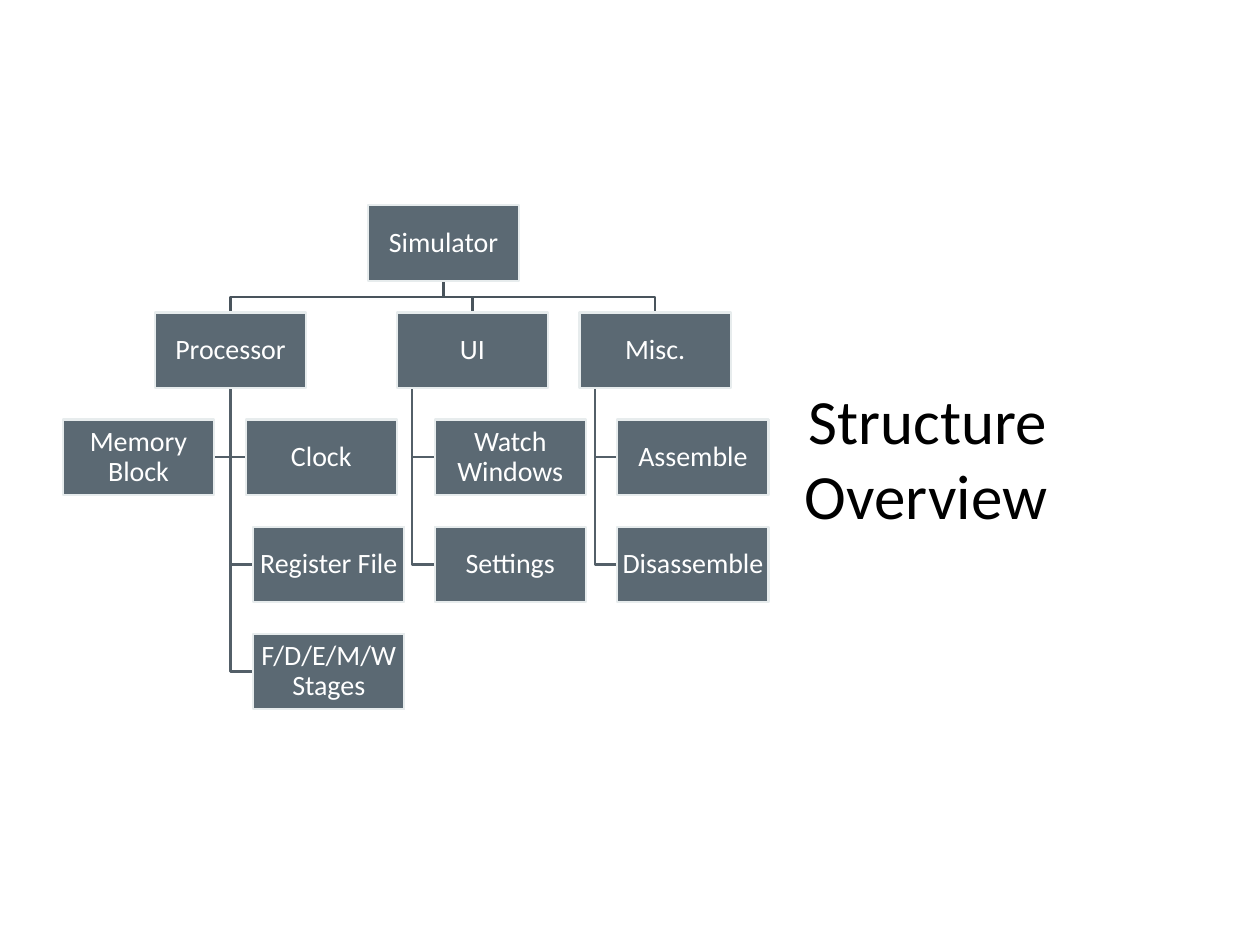
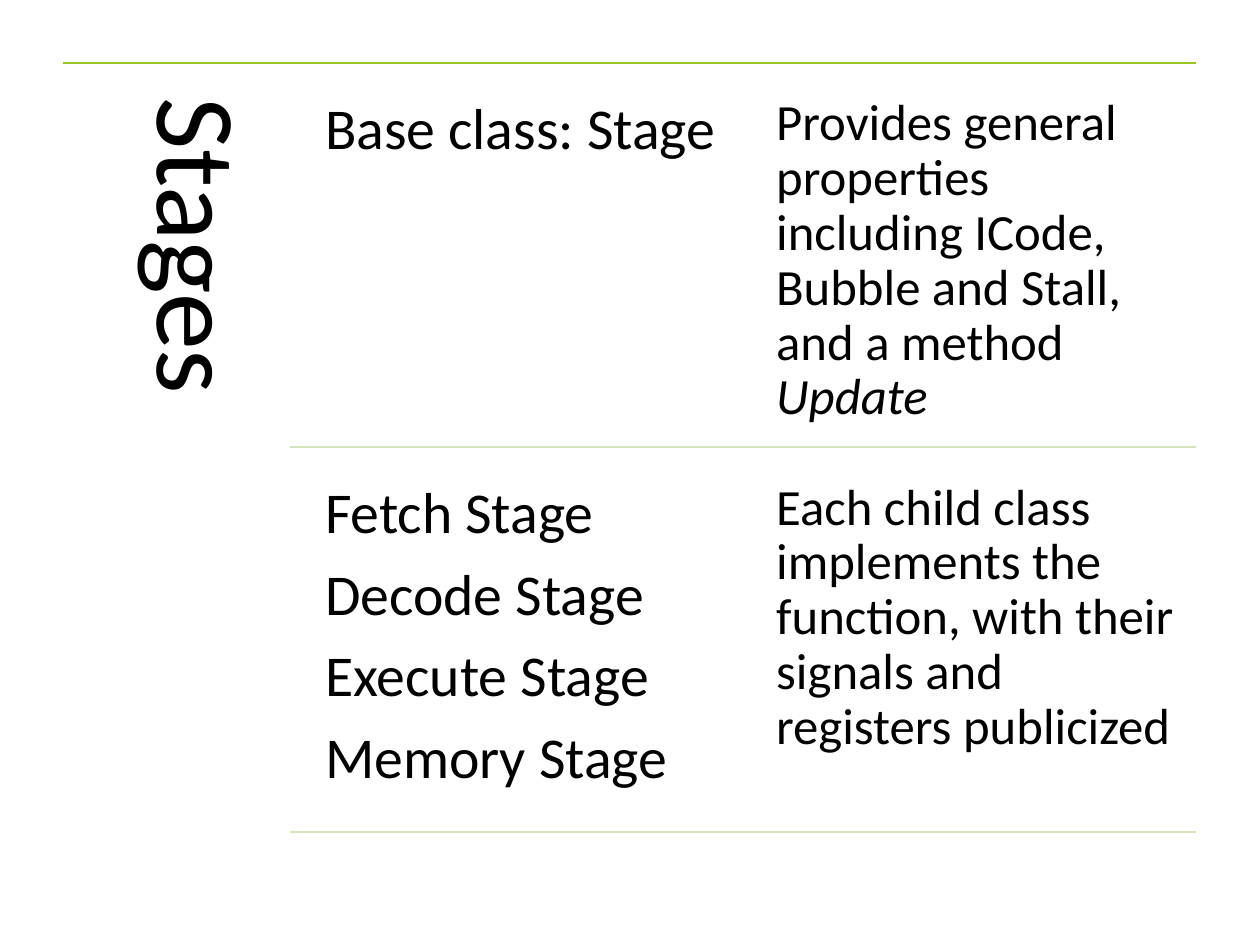
import dataclasses

import lxml.etree
import pptx
import pptx.dml.color
import pptx.enum.shapes
import pptx.enum.text
import pptx.oxml.ns
import pptx.util

Inches = pptx.util.Inches
ALIGN = pptx.enum.text.PP_ALIGN
ANCHOR = pptx.enum.text.MSO_ANCHOR


@dataclasses.dataclass(frozen=True)
class Theme:
    """Colours, font and type sizes of the deck."""
    font: str = "Calibri"
    ink: str = "000000"
    white: str = "FFFFFF"
    node: str = "5B6973"
    node_edge: str = "E7ECED"
    root_link: str = "49545C"
    leaf_link: str = "535F68"
    top_rule: str = "98C723"
    row_rule: str = "D4E5BD"
    line_width: float = 1.25
    node_size: int = 16
    title_size: int = 36
    heading_size: int = 65
    name_size: int = 33
    detail_size: int = 29


@dataclasses.dataclass(frozen=True)
class Box:
    """A region of a page, in inches."""
    left: float
    top: float
    width: float
    height: float

    def inner(self, left, top, width, height):
        """Return a box placed relative to this one."""
        return Box(self.left + left, self.top + top, width, height)

    def lengths(self):
        """Return the four measures as lengths."""
        return [Inches(value) for value in dataclasses.astuple(self)]


THEME = Theme()
NODE_WIDTH, NODE_HEIGHT, ROW_PITCH = 1.2, 0.6, 0.85
ROOT = ("Simulator", 2.42)
BRANCHES = [
    ("Processor", 0.73, 0.6, [("Memory Block", 0, 2), ("Clock", 1.45, 2),
                              ("Register File", 1.51, 3), ("F/D/E/M/W Stages", 1.51, 4)]),
    ("UI", 2.65, 0.12, [("Watch Windows", 2.95, 2), ("Settings", 2.95, 3)]),
    ("Misc.", 4.1, 0.12, [("Assemble", 4.4, 2), ("Disassemble", 4.4, 3)]),
]
STAGE_ROWS = [
    (["Base class: Stage"],
     [("Provides general properties including ICode, Bubble and Stall, and a method ", False),
      ("Update", True)]),
    (["Fetch Stage", "Decode Stage", "Execute Stage", "Memory Stage"],
     [("Each child class implements the function, with their signals and registers publicized",
       False)]),
]


def rgb(code):
    """Turn a hex code into a colour."""
    return pptx.dml.color.RGBColor.from_string(code)


def write(shape, paragraphs, size, color=THEME.ink, align=ALIGN.LEFT,
          anchor=ANCHOR.TOP, inset=0.1, spacing=0.9, after=0):
    """Fill a shape with paragraphs, each a list of (text, italic) spans."""
    frame = shape.text_frame
    frame.word_wrap = True
    frame.vertical_anchor = anchor
    frame.margin_left = frame.margin_right = Inches(inset)
    frame.margin_top = frame.margin_bottom = Inches(inset)
    for index, spans in enumerate(paragraphs):
        para = frame.add_paragraph() if index else frame.paragraphs[0]
        para.alignment = align
        para.line_spacing = spacing
        para.space_after = pptx.util.Pt(after)
        for text, italic in spans:
            span = para.add_run()
            span.text = text
            span.font.name = THEME.font
            span.font.size = pptx.util.Pt(size)
            span.font.italic = italic
            span.font.color.rgb = rgb(color)


def add_text(page, box, paragraphs, size, **style):
    """Add a text box and return it."""
    shape = page.shapes.add_textbox(*box.lengths())
    write(shape, paragraphs, size, **style)
    return shape


def set_line(shape, color):
    """Give a shape or connector the deck's line."""
    shape.line.color.rgb = rgb(color)
    shape.line.width = pptx.util.Pt(THEME.line_width)


def add_rule(page, left, right, y, color):
    """Draw a horizontal rule."""
    rule = page.shapes.add_connector(pptx.enum.shapes.MSO_CONNECTOR.STRAIGHT,
                                     Inches(left), Inches(y), Inches(right), Inches(y))
    set_line(rule, color)
    properties = rule._element.spPr
    lxml.etree.SubElement(properties, pptx.oxml.ns.qn("a:effectLst"))


def add_link(page, points, color):
    """Draw an open bent line through the points."""
    start, *rest = [(Inches(x), Inches(y)) for x, y in points]
    builder = page.shapes.build_freeform(*start, scale=1.0)
    builder.add_line_segments(rest, close=False)
    link = builder.convert_to_shape()
    link.shadow.inherit = False
    link.fill.background()
    set_line(link, color)


def add_node(page, box, label):
    """Draw one labelled box of the tree."""
    node = page.shapes.add_shape(pptx.enum.shapes.MSO_SHAPE.RECTANGLE, *box.lengths())
    node.shadow.inherit = False
    node.fill.solid()
    node.fill.fore_color.rgb = rgb(THEME.node)
    set_line(node, THEME.node_edge)
    write(node, [[(label, False)]], THEME.node_size, color=THEME.white,
          align=ALIGN.CENTER, anchor=ANCHOR.MIDDLE, inset=0.01)


def add_tree(page, area):
    """Draw the links of the tree, then its nodes."""
    def place(left, row):
        return area.inner(left, row * ROW_PITCH, NODE_WIDTH, NODE_HEIGHT)

    root = place(ROOT[1], 0)
    root_x, root_bottom = root.left + NODE_WIDTH / 2, root.top + NODE_HEIGHT
    nodes = [(root, ROOT[0])]
    for label, left, trunk, leaves in BRANCHES:
        branch = place(left, 1)
        nodes.append((branch, label))
        center, middle = branch.left + NODE_WIDTH / 2, (root_bottom + branch.top) / 2
        add_link(page, [(root_x, root_bottom), (root_x, middle),
                        (center, middle), (center, branch.top)], THEME.root_link)
        trunk_x = branch.left + trunk
        for leaf_label, leaf_left, row in leaves:
            leaf = place(leaf_left, row)
            nodes.append((leaf, leaf_label))
            edge = leaf.left if leaf.left > trunk_x else leaf.left + NODE_WIDTH
            y = leaf.top + NODE_HEIGHT / 2
            add_link(page, [(trunk_x, branch.top + NODE_HEIGHT), (trunk_x, y), (edge, y)],
                     THEME.leaf_link)
    for box, label in nodes:
        add_node(page, box, label)


def add_structure_page(page):
    """Build the tree with its title at the right."""
    add_tree(page, Box(0.5, 1.63, 5.6, 4))
    add_text(page, Box(5.33, 0.5, 3.08, 6.25), [[("Structure Overview", False)]],
             THEME.title_size, align=ALIGN.RIGHT, anchor=ANCHOR.MIDDLE, spacing=1.0)


def add_stages_page(page, area):
    """Build the sideways heading and its ruled rows."""
    side, pitch, gap, column = 1.8, 3.05, 0.14, 3.46
    right = area.left + area.width
    add_rule(page, area.left, right, area.top, THEME.top_rule)
    heading = add_text(page, area.inner(0, 0, side, area.height), [[("Stages", False)]],
                       THEME.heading_size, inset=0.27)
    heading.text_frame._txBody.bodyPr.set("vert", "eaVert")
    for index, (names, detail) in enumerate(STAGE_ROWS):
        top = index * pitch
        name_left = side + gap
        add_text(page, area.inner(name_left, top + 0.15, column, 2.91),
                 [[(name, False)] for name in names], THEME.name_size,
                 inset=0.14, after=11)
        add_text(page, area.inner(name_left + column + gap, top + 0.15, column, 2.91),
                 [detail], THEME.detail_size, inset=0.12)
        add_rule(page, area.left + side, right, area.top + top + pitch, THEME.row_rule)


def main():
    """Build and save the deck."""
    deck = pptx.Presentation()
    deck.slide_width, deck.slide_height = Inches(10), Inches(7.5)
    blank = deck.slide_layouts[6]
    add_structure_page(deck.slides.add_slide(blank))
    add_stages_page(deck.slides.add_slide(blank), Box(0.5, 0.5, 8.99, 6.25))
    deck.save("out.pptx")


if __name__ == "__main__":
    main()
